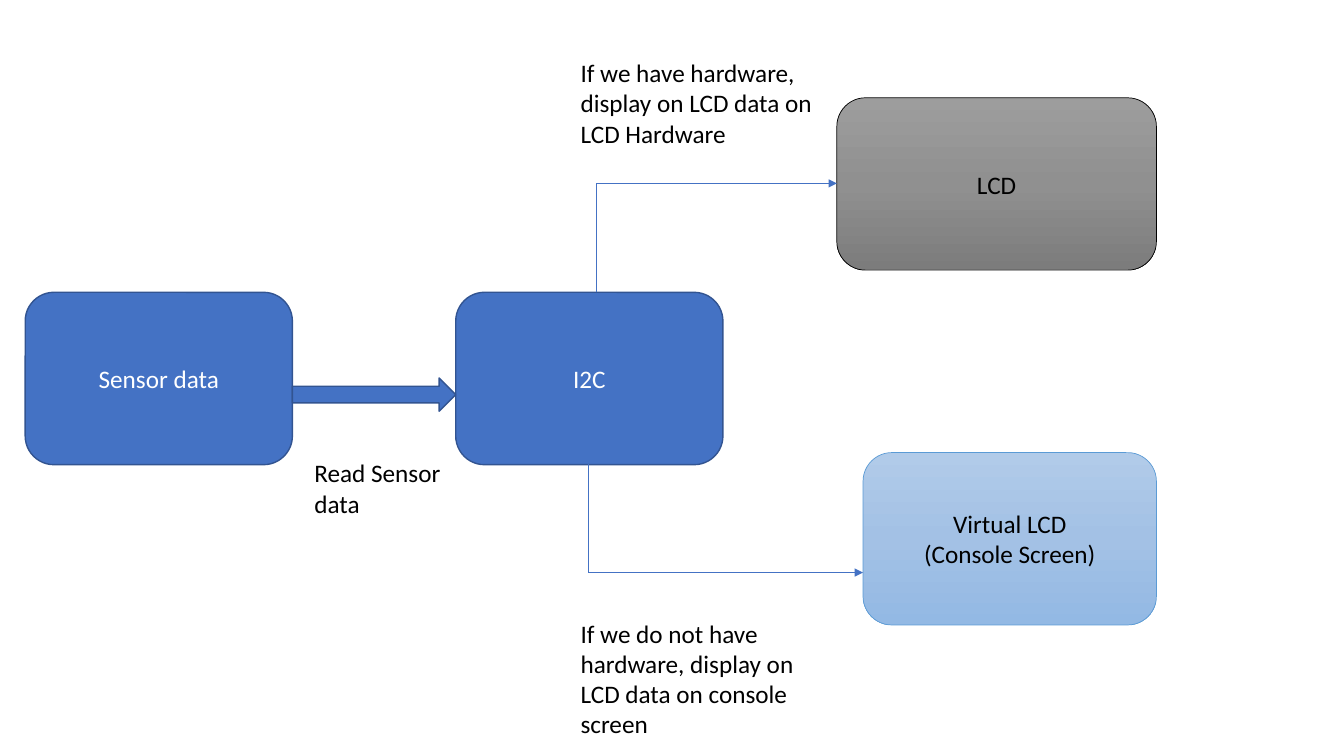
from copy import deepcopy

from pptx import Presentation
from pptx import util as u
from pptx.dml.color import RGBColor
from pptx.enum import shapes, text
from pptx.oxml.ns import qn
from lxml import etree

COLORS = {
    "blue": "4472C4", "edge": "325491", "sky": "5B9BD5",
    "black": "000000", "white": "FFFFFF",
}
GREY_FADE = ("9D9D9D", "909090", "7C7C7C")
SKY_FADE = ("B1CBE9", "A3C1E5", "93B9E4")
BOX_HEIGHT = 1.71
SOLID = dict(fill=COLORS["blue"], edge="edge", weight=1, color="white")
BOXES = [
    ("I2C", 4.52, 2.9, 2.65, SOLID),
    ("LCD", 8.3, 0.97, 3.17, dict(fill=GREY_FADE, edge="black", weight=0.5, color="black")),
    ("Virtual LCD\n(Console Screen)", 8.56, 4.49, 2.91,
     dict(fill=SKY_FADE, edge="sky", weight=0.5, color="black")),
    ("Sensor data", 0.25, 2.9, 2.65, SOLID),
]
SENSOR_ARROW = (2.9, 3.75, 1.62, 0.33)
ROUTES = [
    [(5.92, 2.9), (5.92, 1.82), (8.3, 1.82)],
    [(5.84, 4.6), (5.84, 5.68), (8.56, 5.68)],
]
LABELS = [
    ("Read Sensor data", 3.02, 4.49, 1.62, 0.71),
    ("If we do not have hardware, display on LCD data on console screen", 5.66, 6.08, 2.64, 1.31),
    ("If we have hardware, display on LCD data on LCD Hardware", 5.66, 0.52, 2.64, 1.01),
]

deck = Presentation()
deck.slide_width, deck.slide_height = u.Inches(13.33), u.Inches(7.5)
page = deck.slides.add_slide(deck.slide_layouts[6])


def inches(*lengths):
    return [u.Inches(length) for length in lengths]


def write(shape, words, color="black", align=None, anchor=None):
    frame = shape.text_frame
    frame.word_wrap = True
    frame.vertical_anchor = anchor
    para = frame.paragraphs[0]
    para.text = words
    para.alignment = align
    for span in para.runs:
        span.font.name = "Calibri"
        span.font.size = u.Pt(18)
        span.font.color.rgb = RGBColor.from_string(COLORS[color])


def fade(fill, shape, hues):
    fill.gradient()
    fill.gradient_angle = 270
    stop_list = shape._element.spPr.find(".//" + qn("a:gsLst"))
    stop_list.insert(1, deepcopy(stop_list[0]))
    for index, (stop, hue) in enumerate(zip(fill.gradient_stops, hues)):
        stop.position = index / (len(hues) - 1)
        stop.color.rgb = RGBColor.from_string(hue)


def add_block(kind, place, fill, edge, weight):
    block = page.shapes.add_shape(kind, *inches(*place))
    block.shadow.inherit = False
    if isinstance(fill, tuple):
        fade(block.fill, block, fill)
    else:
        block.fill.solid()
        block.fill.fore_color.rgb = RGBColor.from_string(fill)
    block.line.color.rgb = RGBColor.from_string(COLORS[edge])
    block.line.width = u.Pt(weight)
    return block


def add_line(start, end, arrow):
    link = page.shapes.add_connector(shapes.MSO_CONNECTOR.STRAIGHT, *inches(*start, *end))
    link.line.color.rgb = RGBColor.from_string(COLORS["blue"])
    link.line.width = u.Pt(0.5)
    if arrow:
        etree.SubElement(link.line._get_or_add_ln(), qn("a:tailEnd"), type="triangle")
    etree.SubElement(link._element.spPr, qn("a:effectLst"))


for words, left, top, width, look in BOXES:
    box = add_block(shapes.MSO_SHAPE.ROUNDED_RECTANGLE, (left, top, width, BOX_HEIGHT),
                    look["fill"], look["edge"], look["weight"])
    write(box, words, color=look["color"], align=text.PP_ALIGN.CENTER,
          anchor=text.MSO_ANCHOR.MIDDLE)

add_block(shapes.MSO_SHAPE.RIGHT_ARROW, SENSOR_ARROW, COLORS["blue"], "edge", 1)

for start, corner, end in ROUTES:
    add_line(start, corner, arrow=False)
    add_line(corner, end, arrow=True)

for words, *place in LABELS:
    write(page.shapes.add_textbox(*inches(*place)), words)

deck.save("out.pptx")
